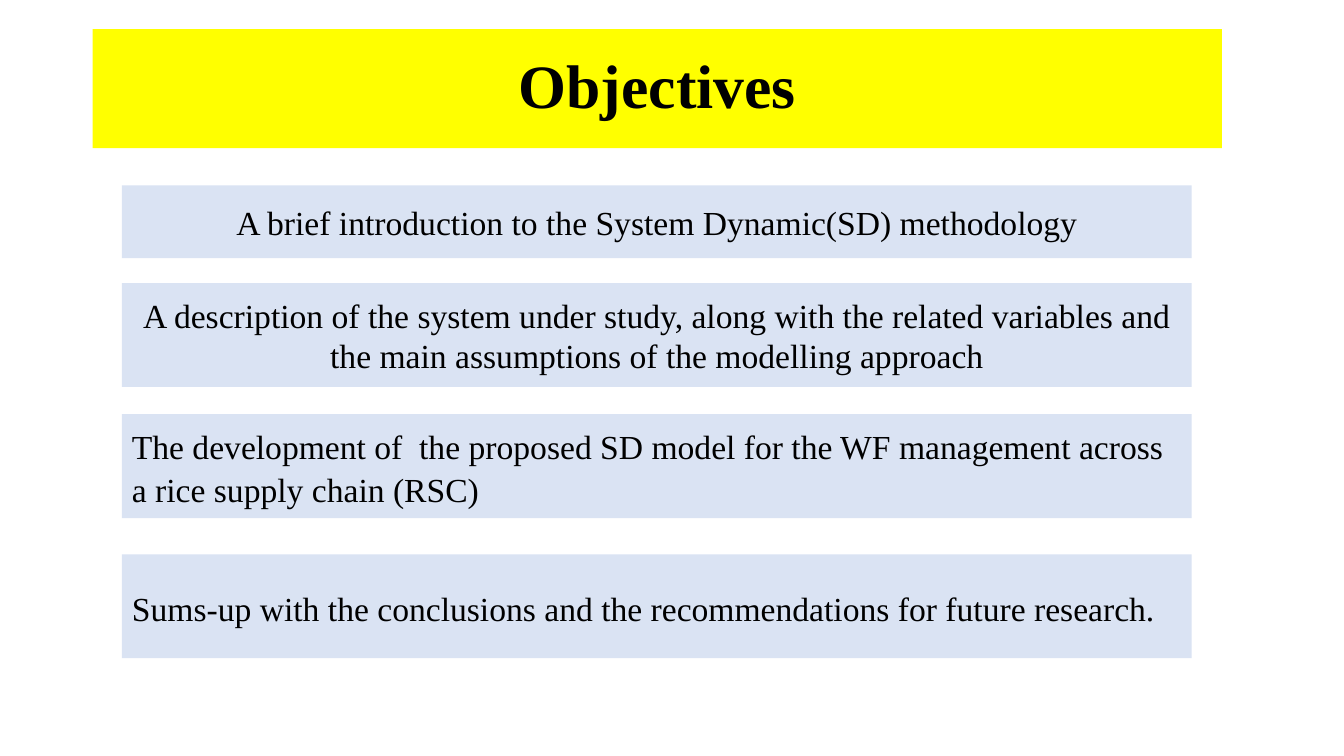
from pptx import Presentation
from pptx.dml.color import RGBColor
from pptx.enum.shapes import MSO_SHAPE
from pptx.enum.text import MSO_ANCHOR, PP_ALIGN
from pptx.util import Inches, Pt

FONT = "Times New Roman"
BLACK, YELLOW, PALE_BLUE = "000000", "FFFF00", "DAE3F3"

# Paragraph styles: alignment, line spacing, space after in points
CENTRED = (PP_ALIGN.CENTER, 1.0, 0)
BODY = (PP_ALIGN.LEFT, 1.07, 8)

# Each objective: top, height (inches from the list's top), style, wording
OBJECTIVES = [
    (0, 0.72, CENTRED,
     "A brief introduction to the System Dynamic(SD) methodology"),
    (0.97, 1.03, CENTRED,
     "A description of the system under study, along with the related "
     "variables and the main assumptions of the modelling approach"),
    (2.27, 1.03, BODY,
     "The development of  the proposed SD model for the WF management "
     "across a rice supply chain (RSC)"),
    (3.66, 1.03, BODY,
     "Sums-up with the conclusions and the recommendations for future "
     "research."),
]


def colour(hex_code):
    return RGBColor.from_string(hex_code)


def add_banner(slide, left, top, width, height, fill, wording, size, style,
               bold=False):
    """Place a filled, borderless rectangle holding one paragraph."""
    banner = slide.shapes.add_shape(
        MSO_SHAPE.RECTANGLE,
        Inches(left), Inches(top), Inches(width), Inches(height))
    banner.shadow.inherit = False
    banner.fill.solid()
    banner.fill.fore_color.rgb = colour(fill)
    banner.line.fill.background()

    frame = banner.text_frame
    frame.word_wrap = True
    frame.vertical_anchor = MSO_ANCHOR.MIDDLE
    paragraph = frame.paragraphs[0]
    paragraph.alignment, paragraph.line_spacing, space_after = style
    paragraph.space_after = Pt(space_after)

    run = paragraph.add_run()
    run.text = wording
    run.font.name = FONT
    run.font.size = Pt(size)
    run.font.bold = bold
    run.font.color.rgb = colour(BLACK)


def add_heading(slide, left, top, width, height):
    add_banner(slide, left, top, width, height, YELLOW, "Objectives", 44,
               (PP_ALIGN.CENTER, 0.9, 0), bold=True)


def add_objectives(slide, left, top, width):
    for offset, height, style, wording in OBJECTIVES:
        add_banner(slide, left, top + offset, width, height, PALE_BLUE,
                   wording, 24, style)


def main():
    deck = Presentation()
    deck.slide_width, deck.slide_height = Inches(13.33), Inches(7.5)
    slide = deck.slides.add_slide(deck.slide_layouts[6])
    add_heading(slide, 0.92, 0.29, 11.2, 1.18)
    add_objectives(slide, 1.21, 1.84, 10.61)
    deck.save("out.pptx")


if __name__ == "__main__":
    main()
